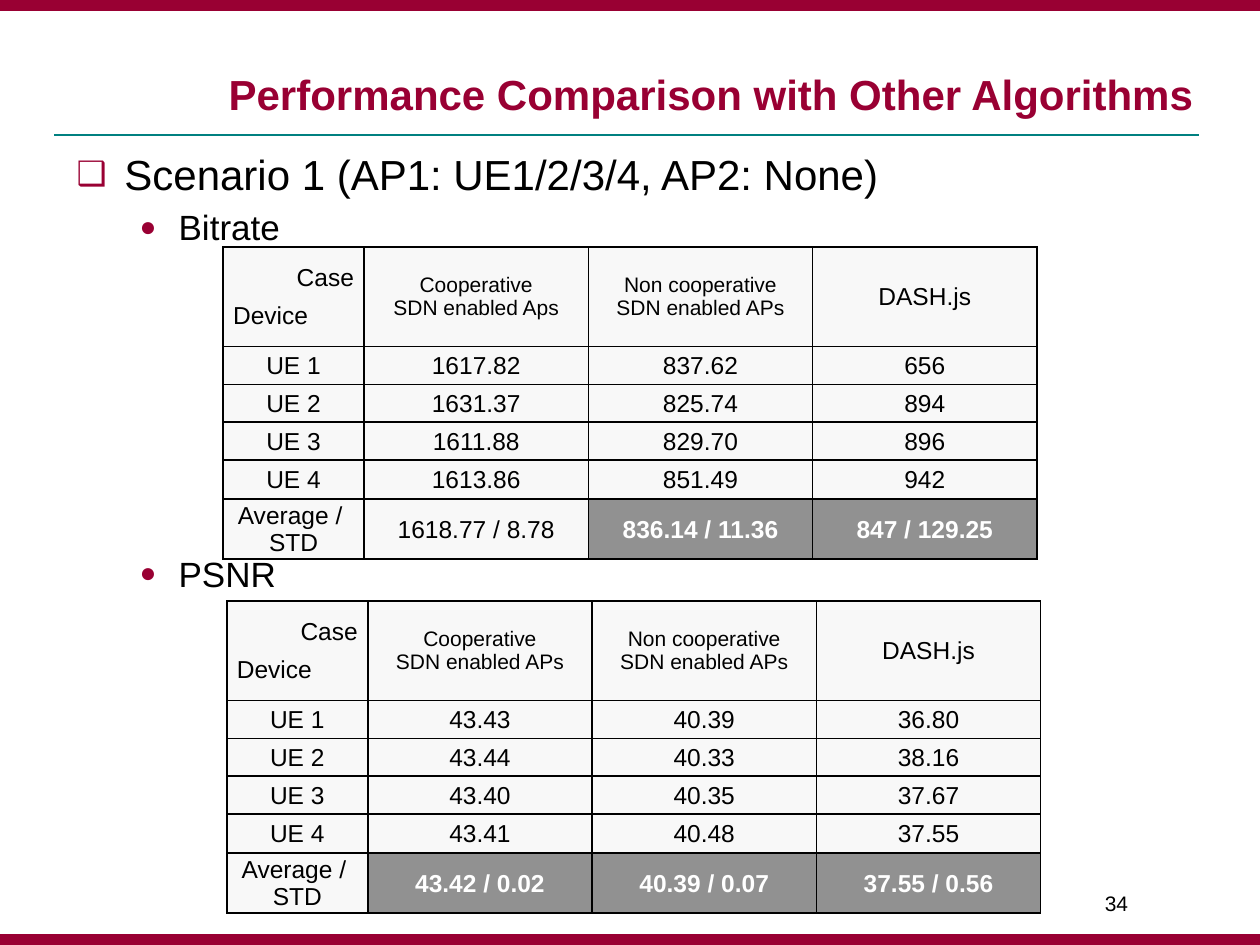
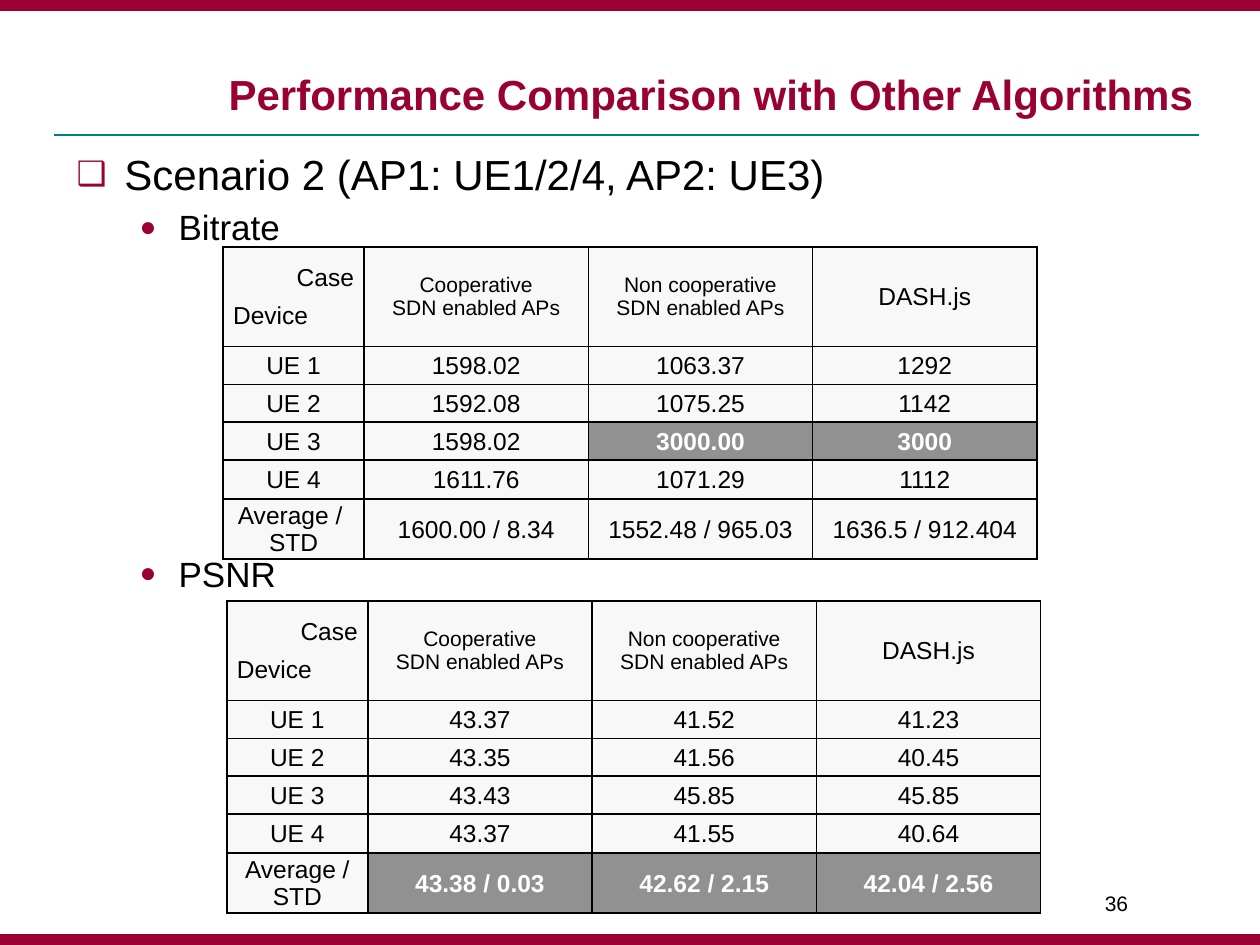
from dataclasses import dataclass
from lxml import etree
from pptx import Presentation
from pptx.dml.color import RGBColor
from pptx.enum.shapes import MSO_CONNECTOR, MSO_SHAPE
from pptx.enum.text import MSO_ANCHOR, MSO_AUTO_SIZE, PP_ALIGN
from pptx.oxml.ns import qn
from pptx.util import Inches, Pt

CRIMSON = RGBColor(0x99, 0x00, 0x33)
TEAL = RGBColor(0x00, 0x80, 0x80)
BLACK = RGBColor(0x00, 0x00, 0x00)
WHITE = RGBColor(0xFF, 0xFF, 0xFF)
CELL_GRAY = RGBColor(0xF8, 0xF8, 0xF8)
HIGHLIGHT_GRAY = RGBColor(0x91, 0x91, 0x91)

FONT = "Arial"
SLIDE_WIDTH, SLIDE_HEIGHT, BAND_HEIGHT = 10, 7.5, 0.08
TITLE = "Performance Comparison with Other Algorithms"
TITLE_BOX = (0.5, 0.25, 9.07, 0.74)
OUTLINE_BOX = (0.51, 1.13, 9, 5.67)
NUMBER_BOX = (8.67, 7.02, 0.83, 0.4)
BITRATE_CORNER = (1.77, 1.96)
PSNR_CORNER = (1.8, 4.77)
COLUMN_WIDTHS = (1.12, 1.78, 1.78, 1.78)
ROW_HEIGHTS = (0.79, 0.3, 0.3, 0.3, 0.31, 0.44)
DEVICES = ("UE 1", "UE 2", "UE 3", "UE 4")
COOPERATIVE = "Cooperative\nSDN enabled APs"
NON_COOPERATIVE = "Non cooperative\nSDN enabled APs"

TITLE_FORMAT = {"name": FONT, "size": Pt(24), "bold": True}
SCENARIO_FORMAT = {"name": FONT, "size": Pt(24)}
METRIC_FORMAT = {"name": FONT, "size": Pt(20)}
CASE_FORMAT = {"name": FONT, "size": Pt(12)}
VALUE_FORMAT = {"name": FONT, "size": Pt(14)}
HIGHLIGHT_FORMAT = VALUE_FORMAT | {"bold": True}


@dataclass
class Comparison:
    values: tuple
    summary: tuple
    highlights: tuple = ()
    cooperative: str = COOPERATIVE
    summary_label: str = "Average / \nSTD"


@dataclass
class Scenario:
    heading: str
    number: str
    bitrate: Comparison
    psnr: Comparison


SUMMARY_HIGHLIGHTS = ((5, 1), (5, 2), (5, 3))

SCENARIOS = (
    Scenario(
        "Scenario 1 (AP1: UE1/2/3/4, AP2: None)", "34",
        Comparison(
            (("1617.82", "837.62", "656"), ("1631.37", "825.74", "894"),
             ("1611.88", "829.70", "896"), ("1613.86", "851.49", "942")),
            ("1618.77 / 8.78", "836.14 / 11.36", "847 / 129.25"),
            SUMMARY_HIGHLIGHTS[1:],
            cooperative="Cooperative\nSDN enabled Aps"),
        Comparison(
            (("43.43", "40.39", "36.80"), ("43.44", "40.33", "38.16"),
             ("43.40", "40.35", "37.67"), ("43.41", "40.48", "37.55")),
            ("43.42 / 0.02", "40.39 / 0.07", "37.55 / 0.56"),
            SUMMARY_HIGHLIGHTS)),
    Scenario(
        "Scenario 2 (AP1: UE1/2/4, AP2: UE3)", "36",
        Comparison(
            (("1598.02", "1063.37", "1292"), ("1592.08", "1075.25", "1142"),
             ("1598.02", "3000.00", "3000"), ("1611.76", "1071.29", "1112")),
            ("1600.00 / 8.34", "1552.48 / 965.03", "1636.5 / 912.404"),
            ((3, 2), (3, 3))),
        Comparison(
            (("43.37", "41.52", "41.23"), ("43.35", "41.56", "40.45"),
             ("43.43", "45.85", "45.85"), ("43.37", "41.55", "40.64")),
            ("43.38 / 0.03", "42.62 / 2.15", "42.04 / 2.56"),
            SUMMARY_HIGHLIGHTS,
            summary_label="Average / STD")),
)


def inches(box):
    return [Inches(length) for length in box]


def apply_format(target, values):
    for attribute, value in values.items():
        setattr(target, attribute, value)


def format_text(paragraph, font_format, color):
    for run in paragraph.runs:
        apply_format(run.font, font_format)
        run.font.color.rgb = color


def add_element(parent, tag, **attributes):
    return etree.SubElement(parent, qn(tag), attributes)


def add_band(slide, top):
    band = slide.shapes.add_shape(
        MSO_SHAPE.RECTANGLE, *inches((0, top, SLIDE_WIDTH, BAND_HEIGHT)))
    band.shadow.inherit = False
    band.fill.solid()
    band.fill.fore_color.rgb = CRIMSON
    band.line.color.rgb = CRIMSON
    band.line.width = Pt(0.75)


def add_frame(slide):
    for top in (0, SLIDE_HEIGHT - BAND_HEIGHT):
        add_band(slide, top)
    rule = slide.shapes.add_connector(
        MSO_CONNECTOR.STRAIGHT, *inches((0.43, 1.07, 9.52, 1.07)))
    rule.line.color.rgb = TEAL
    rule.line.width = Pt(1)
    add_element(rule._element.spPr, "a:effectLst")


def place_title(slide, box):
    title = slide.shapes.title
    title.left, title.top, title.width, title.height = inches(box)
    frame = title.text_frame
    frame.text = TITLE
    apply_format(frame, {"auto_size": MSO_AUTO_SIZE.NONE, "word_wrap": True,
                         "vertical_anchor": MSO_ANCHOR.BOTTOM})
    frame.paragraphs[0].alignment = PP_ALIGN.RIGHT
    format_text(frame.paragraphs[0], TITLE_FORMAT, CRIMSON)


def add_bullet(paragraph, symbol, margin, hanging):
    properties = paragraph._p.get_or_add_pPr()
    properties.set("marL", str(Inches(margin)))
    properties.set("indent", str(-Inches(hanging)))
    color = add_element(properties, "a:buClr")
    add_element(color, "a:srgbClr", val=str(CRIMSON))
    add_element(properties, "a:buSzPct", val="80000")
    add_element(properties, "a:buFont", typeface=FONT)
    add_element(properties, "a:buChar", char=symbol)


def add_outline(slide, box, heading):
    frame = slide.shapes.add_textbox(*inches(box)).text_frame
    frame.word_wrap = True
    frame.text = "\n".join((heading, "Bitrate", "PSNR"))
    scenario, bitrate, psnr = frame.paragraphs
    add_bullet(scenario, "❑", 0.38, 0.38)
    format_text(scenario, SCENARIO_FORMAT, BLACK)
    for metric, space in ((bitrate, 4), (psnr, 174)):
        add_bullet(metric, "●", 0.81, 0.31)
        metric.space_before = Pt(space)
        format_text(metric, METRIC_FORMAT, BLACK)


def add_borders(cell):
    properties = cell._tc.get_or_add_tcPr()
    for position, side in enumerate(("a:lnL", "a:lnR", "a:lnT", "a:lnB")):
        border = etree.Element(qn(side), w=str(Pt(1)))
        fill = add_element(border, "a:solidFill")
        add_element(fill, "a:srgbClr", val=str(BLACK))
        properties.insert(position, border)


def fill_cell(cell, text, font_format, margins, highlighted=False):
    cell.text = text
    cell.vertical_anchor = MSO_ANCHOR.MIDDLE
    sides = ("margin_left", "margin_top", "margin_right", "margin_bottom")
    apply_format(cell, dict(zip(sides, inches(margins))))
    cell.fill.solid()
    cell.fill.fore_color.rgb = HIGHLIGHT_GRAY if highlighted else CELL_GRAY
    add_borders(cell)
    for paragraph in cell.text_frame.paragraphs:
        paragraph.alignment = PP_ALIGN.CENTER
        format_text(paragraph, font_format, WHITE if highlighted else BLACK)


def fill_header(table, cooperative):
    headers = (
        ("Case\nDevice", VALUE_FORMAT, (0.08, 0, 0.08, 0)),
        (cooperative, CASE_FORMAT, (0.09, 0.04, 0.09, 0.04)),
        (NON_COOPERATIVE, CASE_FORMAT, (0.11, 0.05, 0.11, 0.05)),
        ("DASH.js", VALUE_FORMAT, (0.11, 0.05, 0.11, 0.05)),
    )
    for column, header in enumerate(headers):
        fill_cell(table.cell(0, column), *header)
    case, device = table.cell(0, 0).text_frame.paragraphs
    case.alignment = PP_ALIGN.RIGHT
    device.alignment = PP_ALIGN.LEFT
    device.space_before = Pt(6)


def add_comparison(slide, corner, comparison):
    box = (*corner, sum(COLUMN_WIDTHS), sum(ROW_HEIGHTS))
    table = slide.shapes.add_table(
        len(ROW_HEIGHTS), len(COLUMN_WIDTHS), *inches(box)).table
    for column, width in zip(table.columns, COLUMN_WIDTHS):
        column.width = Inches(width)
    for row, height in zip(table.rows, ROW_HEIGHTS):
        row.height = Inches(height)
    fill_header(table, comparison.cooperative)
    records = [(device, *values) for device, values in zip(DEVICES, comparison.values)]
    records.append((comparison.summary_label, *comparison.summary))
    for row, record in enumerate(records, start=1):
        for column, text in enumerate(record):
            highlighted = (row, column) in comparison.highlights
            font_format = HIGHLIGHT_FORMAT if highlighted else VALUE_FORMAT
            fill_cell(table.cell(row, column), text, font_format,
                      (0.01, 0.01, 0.01, 0), highlighted)


def add_number(slide, box, number):
    frame = slide.shapes.add_textbox(*inches(box)).text_frame
    frame.word_wrap = True
    frame.text = number
    format_text(frame.paragraphs[0], CASE_FORMAT, BLACK)


def add_scenario_slide(deck, scenario):
    slide = deck.slides.add_slide(deck.slide_layouts.get_by_name("Title Only"))
    add_frame(slide)
    place_title(slide, TITLE_BOX)
    add_outline(slide, OUTLINE_BOX, scenario.heading)
    add_number(slide, NUMBER_BOX, scenario.number)
    add_comparison(slide, BITRATE_CORNER, scenario.bitrate)
    add_comparison(slide, PSNR_CORNER, scenario.psnr)


def main():
    deck = Presentation()
    deck.slide_width = Inches(SLIDE_WIDTH)
    deck.slide_height = Inches(SLIDE_HEIGHT)
    for scenario in SCENARIOS:
        add_scenario_slide(deck, scenario)
    deck.save("out.pptx")


if __name__ == "__main__":
    main()
